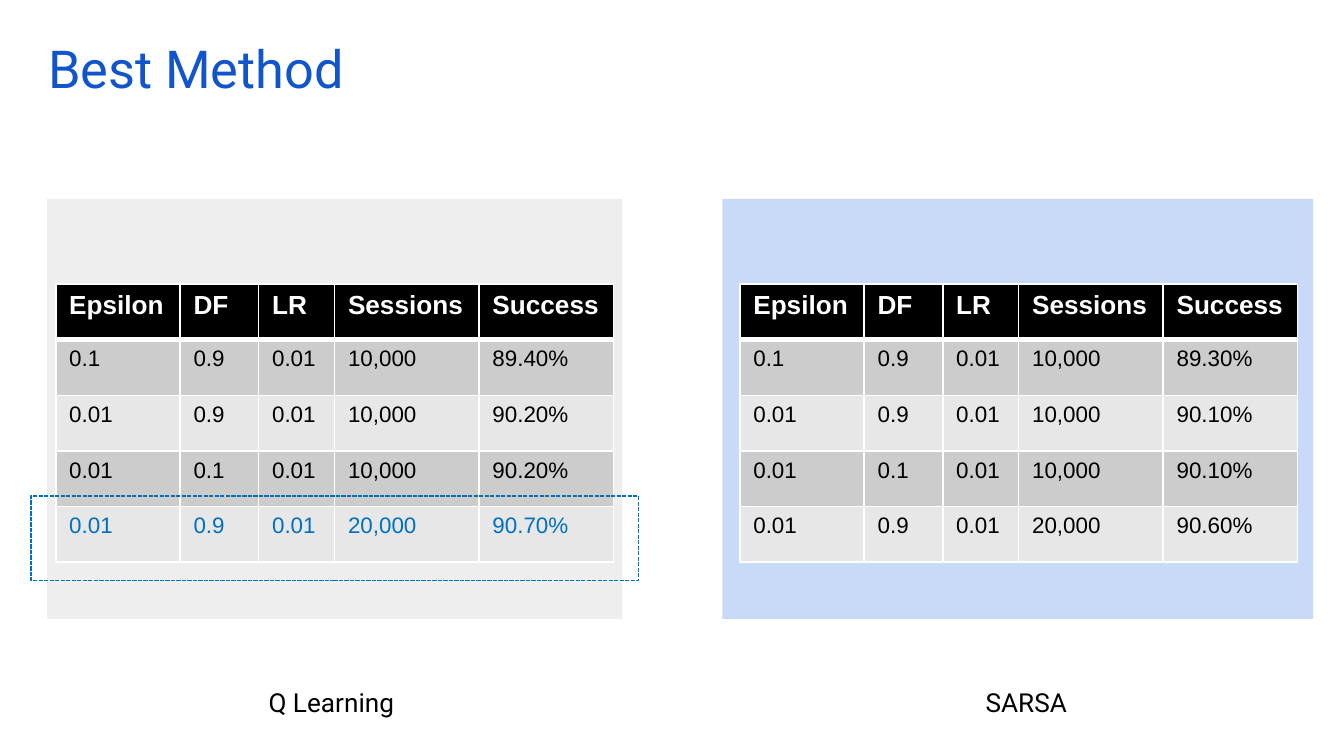
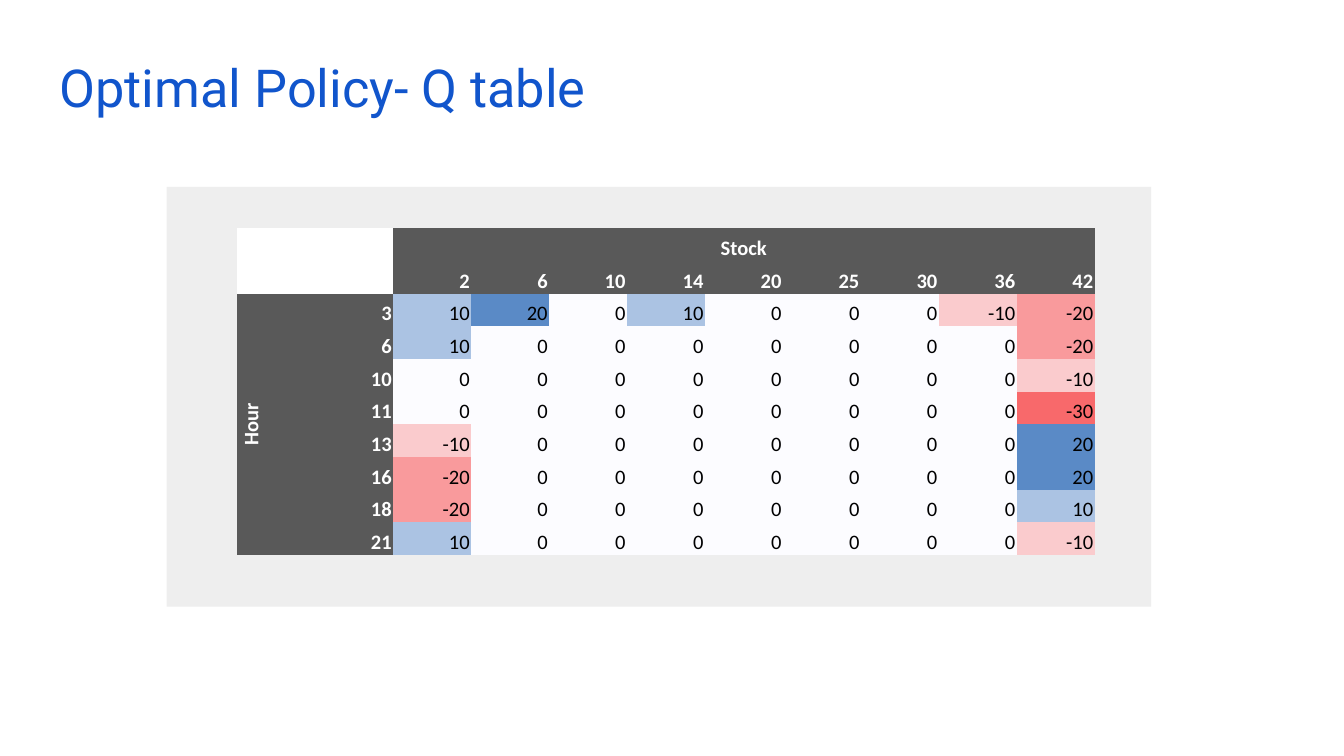
import lxml.etree
import pptx
import pptx.dml.color
import pptx.enum.dml
import pptx.enum.shapes
import pptx.enum.text
import pptx.oxml.ns
import pptx.util

RGBColor = pptx.dml.color.RGBColor
ALIGN = pptx.enum.text.PP_ALIGN
ANCHOR = pptx.enum.text.MSO_ANCHOR

PX = 4572  # EMU, 200 px to the inch
PLAIN_TABLE_STYLE = "{2D5ABB26-0587-4C30-8999-92F81FD0307C}"

BLACK = RGBColor(0x00, 0x00, 0x00)
WHITE = RGBColor(0xFF, 0xFF, 0xFF)
TITLE_BLUE = RGBColor(0x11, 0x55, 0xCC)
BEST_BLUE = RGBColor(0x00, 0x70, 0xC0)
PANEL_GRAY = RGBColor(0xEE, 0xEE, 0xEE)
PANEL_BLUE = RGBColor(0xC9, 0xDA, 0xF8)
BAND_DARK = RGBColor(0xCC, 0xCC, 0xCC)
BAND_LIGHT = RGBColor(0xE7, 0xE7, 0xE7)
HEADER_GRAY = RGBColor(0x59, 0x59, 0x59)
Q_COLORS = {
    20: RGBColor(0x5A, 0x8A, 0xC6),
    10: RGBColor(0xAB, 0xC3, 0xE3),
    0: RGBColor(0xFC, 0xFC, 0xFF),
    -10: RGBColor(0xFA, 0xCB, 0xCD),
    -20: RGBColor(0xF9, 0x9A, 0x9C),
    -30: RGBColor(0xF8, 0x69, 0x6B),
}

METHOD_HEADER = ["Epsilon", "DF", "LR", "Sessions", "Success"]
METHOD_SETTINGS = [
    ["0.1", "0.9", "0.01", "10,000"],
    ["0.01", "0.9", "0.01", "10,000"],
    ["0.01", "0.1", "0.01", "10,000"],
    ["0.01", "0.9", "0.01", "20,000"],
]
METHOD_COLUMNS = [185, 117, 113, 215, 200]

STOCKS = [2, 6, 10, 14, 20, 25, 30, 36, 42]
Q_VALUES = {
    3: [10, 20, 0, 10, 0, 0, 0, -10, -20],
    6: [10, 0, 0, 0, 0, 0, 0, 0, -20],
    10: [0, 0, 0, 0, 0, 0, 0, 0, -10],
    11: [0, 0, 0, 0, 0, 0, 0, 0, -30],
    13: [-10, 0, 0, 0, 0, 0, 0, 0, 20],
    16: [-20, 0, 0, 0, 0, 0, 0, 0, 20],
    18: [-20, 0, 0, 0, 0, 0, 0, 0, 10],
    21: [10, 0, 0, 0, 0, 0, 0, 0, -10],
}


def px(*lengths):
    return [pptx.util.Emu(length * PX) for length in lengths]


def write_text(frame, text, *, size, font="Roboto", color=BLACK, bold=False, align=ALIGN.LEFT):
    paragraph = frame.paragraphs[0]
    paragraph.alignment = align
    run = paragraph.add_run()
    run.text = text
    run.font.size = pptx.util.Pt(size)
    run.font.name = font
    run.font.bold = bold
    run.font.color.rgb = color


def add_text(slide, box, text, **text_format):
    frame = slide.shapes.add_textbox(*px(*box)).text_frame
    frame.word_wrap = True
    frame.margin_left, frame.margin_top, frame.margin_right, frame.margin_bottom = px(20, 20, 20, 20)
    write_text(frame, text, **text_format)


def add_title(slide, left, top, text):
    add_text(slide, (left, top, 1864, 126), text, size=28, color=TITLE_BLUE)


def add_label(slide, left, width, text):
    add_text(slide, (left, 1002, width, 88), text, size=14)


def add_rectangle(slide, box, fill=None):
    shape = slide.shapes.add_shape(pptx.enum.shapes.MSO_SHAPE.RECTANGLE, *px(*box))
    shape.shadow.inherit = False
    shape.line.fill.background()
    if fill is None:
        shape.fill.background()
    else:
        shape.fill.solid()
        shape.fill.fore_color.rgb = fill
    return shape


def add_best_row_frame(slide, box):
    frame = add_rectangle(slide, box)
    frame.line.color.rgb = BEST_BLUE
    frame.line.width = pptx.util.Pt(0.75)
    frame.line.dash_style = pptx.enum.dml.MSO_LINE.SQUARE_DOT


def add_plain_table(slide, box, rows, columns):
    """Add a table whose style brings no bands and no borders."""
    table = slide.shapes.add_table(rows, columns, *px(*box)).table
    table.first_row = False
    table.horz_banding = False
    style = table._tbl.tblPr.find(pptx.oxml.ns.qn("a:tableStyleId"))
    style.text = PLAIN_TABLE_STYLE
    return table


def set_borders(cell, top=1, bottom=1):
    """Draw white borders; call before the fill, which follows them in XML."""
    properties = cell._tc.get_or_add_tcPr()
    for side, width in (("L", 1), ("R", 1), ("T", top), ("B", bottom)):
        line = lxml.etree.SubElement(properties, pptx.oxml.ns.qn(f"a:ln{side}"),
                                     w=str(pptx.util.Pt(width)))
        fill = lxml.etree.SubElement(line, pptx.oxml.ns.qn("a:solidFill"))
        lxml.etree.SubElement(fill, pptx.oxml.ns.qn("a:srgbClr"), val=str(WHITE))


def fill_cell(cell, fill):
    cell.fill.solid()
    cell.fill.fore_color.rgb = fill


def add_method_table(slide, left, success_rates, best_row=None):
    rows = [METHOD_HEADER]
    rows += [settings + [rate] for settings, rate in zip(METHOD_SETTINGS, success_rates)]
    table = add_plain_table(slide, (left, 423, sum(METHOD_COLUMNS), 414),
                            len(rows), len(METHOD_HEADER))
    for column, width in zip(table.columns, px(*METHOD_COLUMNS)):
        column.width = width
    for row, texts in enumerate(rows):
        for column, text in enumerate(texts):
            cell = table.cell(row, column)
            set_borders(cell, top=3 if row == 1 else 1, bottom=3 if row == 0 else 1)
            if row == 0:
                fill_cell(cell, BLACK)
                write_text(cell.text_frame, text, size=14, font="Arial", color=WHITE, bold=True)
            else:
                fill_cell(cell, BAND_DARK if row % 2 else BAND_LIGHT)
                write_text(cell.text_frame, text, size=12, font="Arial",
                           color=BEST_BLUE if row == best_row else BLACK)


def set_q_margins(cell):
    cell.margin_left, cell.margin_top, cell.margin_right, cell.margin_bottom = px(2, 2, 2, 0)


def fill_q_cell(cell, fill, text, header=True, align=ALIGN.RIGHT, anchor=ANCHOR.BOTTOM):
    set_q_margins(cell)
    cell.vertical_anchor = anchor
    fill_cell(cell, fill)
    write_text(cell.text_frame, str(text), size=11, font="Calibri", align=align,
               color=WHITE if header else BLACK, bold=header)


def shrink_empty_cell(cell):
    """Keep the empty line of a cell from stretching its row."""
    set_q_margins(cell)
    paragraph = cell.text_frame.paragraphs[0]._p
    lxml.etree.SubElement(paragraph, pptx.oxml.ns.qn("a:endParaRPr"), sz="1100")


def add_q_table(slide, box):
    rows, columns = len(Q_VALUES) + 2, len(STOCKS) + 2
    table = add_plain_table(slide, box, rows, columns)
    corner, stock_cell, hour_cell = table.cell(0, 0), table.cell(0, 2), table.cell(2, 0)
    corner.merge(table.cell(1, 1))
    stock_cell.merge(table.cell(0, columns - 1))
    hour_cell.merge(table.cell(rows - 1, 0))
    for cell in table.iter_cells():
        if cell.is_spanned:
            shrink_empty_cell(cell)

    shrink_empty_cell(corner)
    fill_cell(corner, WHITE)
    fill_q_cell(stock_cell, HEADER_GRAY, "Stock", align=ALIGN.CENTER)
    fill_q_cell(hour_cell, HEADER_GRAY, "Hour", align=ALIGN.CENTER, anchor=ANCHOR.MIDDLE)
    hour_cell._tc.get_or_add_tcPr().set("vert", "vert270")

    for column, stock in enumerate(STOCKS, start=2):
        fill_q_cell(table.cell(1, column), HEADER_GRAY, stock)
    for row, (hour, values) in enumerate(Q_VALUES.items(), start=2):
        fill_q_cell(table.cell(row, 1), HEADER_GRAY, hour)
        for column, value in enumerate(values, start=2):
            fill_q_cell(table.cell(row, column), Q_COLORS[value], value, header=False)


def build_best_method(slide):
    add_title(slide, 52, 34, "Best Method")
    add_rectangle(slide, (70, 296, 856, 625), PANEL_GRAY)
    add_label(slide, 380, 240, "Q Learning")
    add_label(slide, 1447, 172, "SARSA")
    add_rectangle(slide, (1075, 296, 879, 625), PANEL_BLUE)
    add_method_table(slide, 83, ["89.40%", "90.20%", "90.20%", "90.70%"], best_row=4)
    add_method_table(slide, 1101, ["89.30%", "90.10%", "90.10%", "90.60%"])
    add_best_row_frame(slide, (46, 738, 904, 126))


def build_optimal_policy(slide):
    add_rectangle(slide, (248, 278, 1465, 625), PANEL_GRAY)
    add_title(slide, 69, 62, "Optimal Policy- Q table")
    add_q_table(slide, (353, 340, 1276, 486))


def main():
    presentation = pptx.Presentation()
    presentation.slide_width, presentation.slide_height = px(2000, 1125)
    blank_layout = presentation.slide_layouts[6]
    for build in (build_best_method, build_optimal_policy):
        build(presentation.slides.add_slide(blank_layout))
    presentation.save("out.pptx")


if __name__ == "__main__":
    main()
